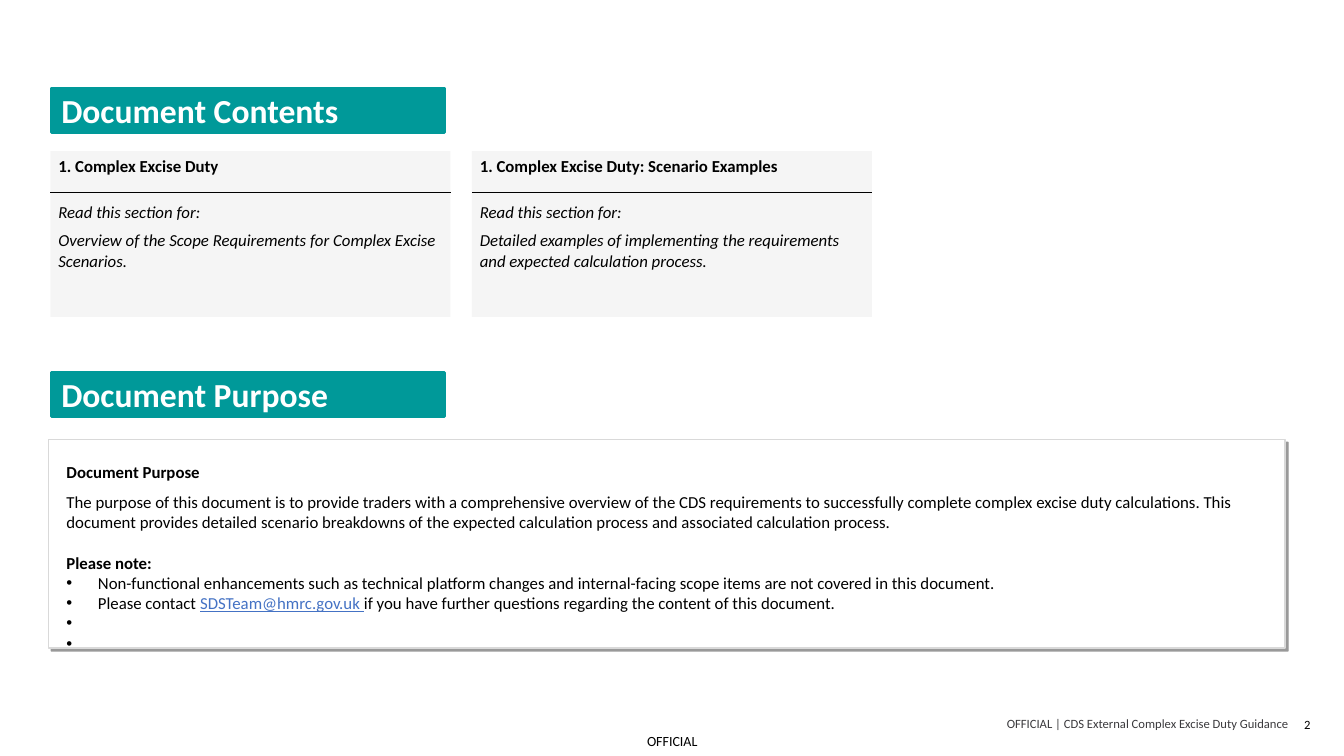
from lxml.etree import SubElement
from pptx import Presentation
from pptx.dml.color import RGBColor
from pptx.enum.shapes import MSO_CONNECTOR, MSO_SHAPE
from pptx.enum.text import MSO_ANCHOR, PP_ALIGN
from pptx.oxml.ns import qn
from pptx.util import Pt

FONT = "Calibri"
BLACK, WHITE, TEAL, LINK = "000000", "FFFFFF", "009999", "4472C4"
CARD_GREY, PANEL_EDGE, FOOTER_GREY = "F2F2F2", "D9D9D9", "3B3A3D"
CARD_WIDTH, CARD_HEIGHT, CARD_STEP = 285.8, 118.4, 301

CARDS = [
    ("1. Complex Excise Duty",
     "Overview of the Scope Requirements for Complex Excise Scenarios."),
    ("1. Complex Excise Duty: Scenario Examples",
     "Detailed examples of implementing the requirements and expected calculation process."),
]
PURPOSE = (
    "The purpose of this document is to provide traders with a comprehensive overview of the "
    "CDS requirements to successfully complete complex excise duty calculations. This document "
    "provides detailed scenario breakdowns of the expected calculation process and associated "
    "calculation process."
)
NOTES = [
    [("Non-functional enhancements such as technical platform changes and internal-facing "
      "scope items are not covered in this document.", {})],
    [("Please contact ", {}),
     ("SDSTeam@hmrc.gov.uk ", {"color": LINK, "underline": True}),
     ("if you have further questions regarding the content of this document.", {})],
    [(" ", {})],
    [(" ", {})],
]


def rgb(color):
    return RGBColor.from_string(color)


def write(frame, text, paragraph=None, size=12, color=BLACK, bold=False, italic=False,
          underline=False, align=PP_ALIGN.LEFT, before=0, after=0):
    """Add a run to the given paragraph, or to a new one in the frame."""
    if paragraph is None:
        first = frame.paragraphs[0]
        paragraph = frame.add_paragraph() if first.runs else first
        paragraph.alignment = align
        paragraph.space_before, paragraph.space_after = Pt(before), Pt(after)
    run = paragraph.add_run()
    run.text = text
    font = run.font
    font.name, font.size, font.color.rgb = FONT, Pt(size), rgb(color)
    font.bold, font.italic, font.underline = bold, italic, underline
    return paragraph


def set_frame(shape, margins=(7.2, 3.6, 7.2, 3.6), anchor=MSO_ANCHOR.TOP):
    frame = shape.text_frame
    frame.word_wrap = True
    frame.vertical_anchor = anchor
    (frame.margin_left, frame.margin_top,
     frame.margin_right, frame.margin_bottom) = map(Pt, margins)
    return frame


def add_label(slide, left, top, width, height, **layout):
    box = slide.shapes.add_textbox(Pt(left), Pt(top), Pt(width), Pt(height))
    return set_frame(box, **layout)


def add_box(slide, left, top, width, height, fill, edge=None, edge_width=1):
    box = slide.shapes.add_shape(MSO_SHAPE.RECTANGLE, Pt(left), Pt(top), Pt(width), Pt(height))
    box.shadow.inherit = False
    box.fill.solid()
    box.fill.fore_color.rgb = rgb(fill)
    if edge:
        box.line.color.rgb = rgb(edge)
        box.line.width = Pt(edge_width)
    else:
        box.line.fill.background()
    return box


def set_alpha(parent, percent):
    color = next(parent.iter(qn("a:srgbClr")))
    SubElement(color, qn("a:alpha"), val=str(percent * 1000))


def add_offset_shadow(box):
    effects = box._element.spPr.find(qn("a:effectLst"))
    shadow = SubElement(effects, qn("a:outerShdw"), blurRad="0", dist=str(Pt(3)),
                        dir=str(45 * 60000), algn="tl", rotWithShape="0")
    SubElement(shadow, qn("a:srgbClr"), val=BLACK)
    set_alpha(shadow, 40)


def add_bullet(paragraph, indent=22.5):
    properties = paragraph._p.get_or_add_pPr()
    properties.set("marL", str(Pt(indent)))
    properties.set("indent", str(-Pt(indent)))
    SubElement(SubElement(properties, qn("a:buClr")), qn("a:srgbClr"), val=BLACK)
    SubElement(properties, qn("a:buFont"), typeface="Arial")
    SubElement(properties, qn("a:buChar"), char="•")


def add_heading(slide, left, top, title):
    banner = add_box(slide, left, top, 280.8, 31.7, TEAL, TEAL, 2)
    frame = set_frame(banner, anchor=MSO_ANCHOR.MIDDLE)
    write(frame, title, size=24, color=WHITE, bold=True)


def add_card(slide, left, top, title, summary):
    card = add_box(slide, left, top, CARD_WIDTH, CARD_HEIGHT, CARD_GREY)
    set_alpha(card._element.spPr, 70)
    frame = set_frame(card, margins=(5.76, 3.6, 2.88, 3.6))
    write(frame, title, bold=True, after=18)
    for line in ("Read this section for:", summary):
        write(frame, line, italic=True, after=6)
    rule_top = Pt(top + 29.6)
    rule = slide.shapes.add_connector(MSO_CONNECTOR.STRAIGHT, Pt(left), rule_top,
                                      Pt(left + CARD_WIDTH), rule_top)
    rule.line.color.rgb = rgb(BLACK)
    rule.line.width = Pt(0.5)
    SubElement(rule._element.spPr, qn("a:effectLst"))


def add_purpose_panel(slide, left, top, width, height):
    add_offset_shadow(add_box(slide, left, top, width, height, WHITE, PANEL_EDGE))
    title = add_label(slide, left + 5.8, top + 12.2, 186.5, 21.6)
    write(title, "Document Purpose", bold=True)
    body = add_label(slide, left + 5.8, top + 33.9, width - 5.8, 122.4)
    write(body, PURPOSE)
    write(body, "Please note:", bold=True, before=14.6)
    for pieces in NOTES:
        paragraph = None
        for text, style in pieces:
            paragraph = write(body, text, paragraph, **style)
        add_bullet(paragraph)


def add_footer(slide):
    flat = {"margins": (0, 0, 0, 0), "anchor": MSO_ANCHOR.MIDDLE}
    marking = add_label(slide, 451.4, 519.1, 57.6, 20.9, **flat)
    write(marking, "OFFICIAL", size=10, align=PP_ALIGN.CENTER)
    guidance = add_label(slide, 231.8, 511.2, 688.3, 11.5, **flat)
    write(guidance, "OFFICIAL | CDS External Complex Excise Duty Guidance",
          size=9, color=FOOTER_GREY, align=PP_ALIGN.RIGHT)
    number = add_label(slide, 907.9, 503.3, 35.3, 28.8, anchor=MSO_ANCHOR.MIDDLE)
    write(number, "2", size=9, align=PP_ALIGN.RIGHT)


def main():
    deck = Presentation()
    deck.slide_width, deck.slide_height = Pt(960), Pt(540)
    slide = deck.slides.add_slide(deck.slide_layouts[6])
    add_heading(slide, 36.7, 62.9, "Document Contents")
    for index, (title, summary) in enumerate(CARDS):
        add_card(slide, 36 + index * CARD_STEP, 108, title, summary)
    add_heading(slide, 36.7, 265.9, "Document Purpose")
    add_purpose_panel(slide, 34.6, 313.9, 883.4, 149)
    add_footer(slide)
    deck.save("out.pptx")


if __name__ == "__main__":
    main()
